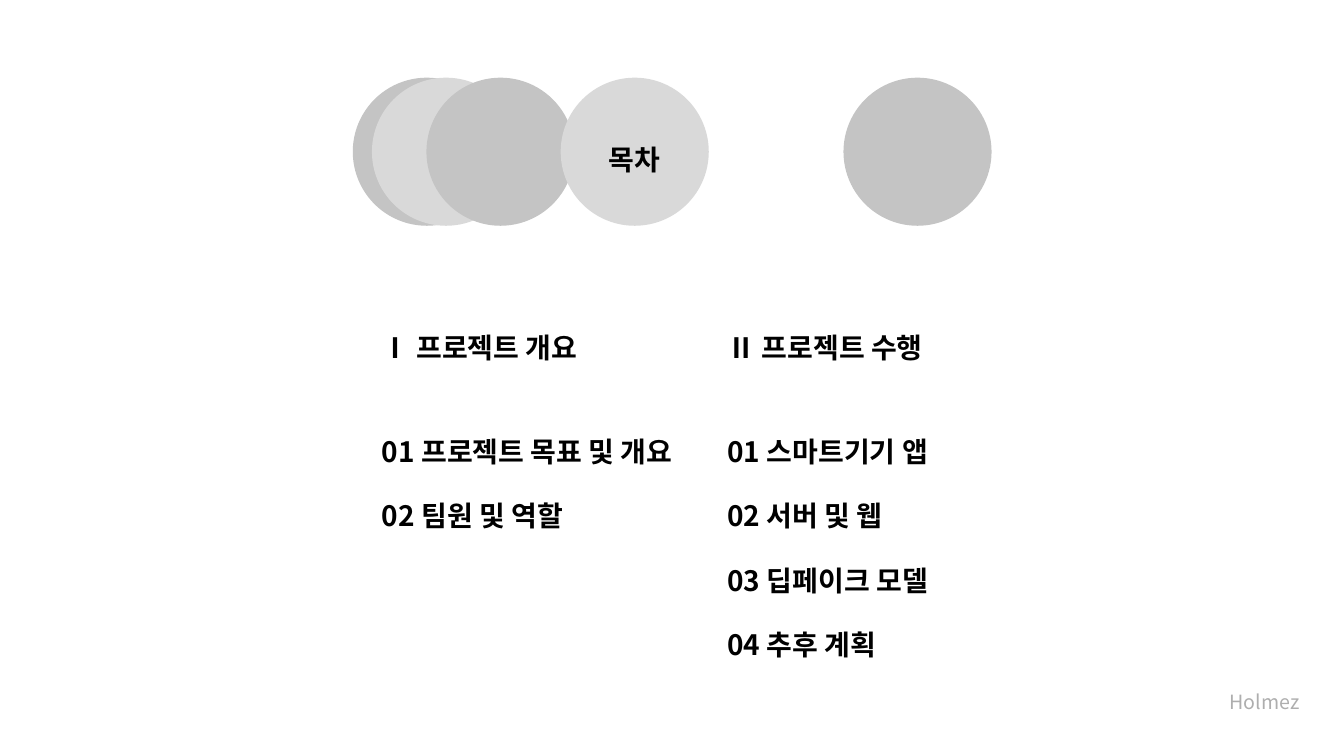
from pptx import Presentation
from pptx.dml.color import RGBColor
from pptx.enum.shapes import MSO_SHAPE as Shape
from pptx.enum.text import MSO_ANCHOR as Anchor, PP_ALIGN as Align
from pptx.util import Pt

FONT = "Noto Sans CJK KR"
TITLE = "목차"
AUTHOR = "Holmez"
CIRCLE_TOP, CIRCLE_SIZE = 55.5, 105.8
CIRCLES = [(252, "C4C4C4"), (265.7, "D9D9D9"), (602.5, "C4C4C4"),
           (304.6, "C4C4C4"), (400.5, "D9D9D9")]
SECTIONS = [
    (265.7, 253.4, "Ⅰ ", "프로젝트 개요",
     ["01 프로젝트 목표 및 개요", "02 팀원 및 역할"]),
    (512.4, 281.5, "Ⅱ ", "프로젝트 수행",
     ["01 스마트기기 앱", "02 서버 및 웹", "03 딥페이크 모델", "04 추후 계획"]),
]
SECTION_TOP, SECTION_HEIGHT = 220.3, 305.3
ITEM_GAP, FIRST_ITEM_GAP = 10, 38.4


def color(value):
    return RGBColor.from_string(value)


def add_box(slide, left, top, width, height, anchor=Anchor.TOP):
    box = slide.shapes.add_textbox(Pt(left), Pt(top), Pt(width), Pt(height))
    frame = box.text_frame
    frame.word_wrap = True
    frame.vertical_anchor = anchor
    return frame


def style(paragraph, size=20, bold=True, ink="000000", before=0):
    paragraph.line_spacing = 1.5
    paragraph.space_before = Pt(before)
    font = paragraph.font
    font.name, font.size, font.bold = FONT, Pt(size), bold
    font.color.rgb = color(ink)


def add_section(slide, left, width, numeral, heading, items):
    frame = add_box(slide, left, SECTION_TOP, width, SECTION_HEIGHT)
    paragraph = frame.paragraphs[0]
    style(paragraph)
    run = paragraph.add_run()
    run.text, run.font.name = numeral, "Arial"
    paragraph.add_run().text = heading
    for index, item in enumerate(items):
        paragraph = frame.add_paragraph()
        paragraph.text = item
        style(paragraph, before=ITEM_GAP if index else FIRST_ITEM_GAP)


def main():
    """Build the table of contents slide."""
    presentation = Presentation()
    presentation.slide_width, presentation.slide_height = Pt(960), Pt(540)
    slide = presentation.slides.add_slide(presentation.slide_layouts[6])

    for left, fill in CIRCLES:
        circle = slide.shapes.add_shape(
            Shape.OVAL, Pt(left), Pt(CIRCLE_TOP), Pt(CIRCLE_SIZE), Pt(CIRCLE_SIZE))
        circle.shadow.inherit = False
        circle.fill.solid()
        circle.fill.fore_color.rgb = color(fill)
        circle.line.fill.background()

    title = add_box(slide, 404.6, 74.2, 97.2, 67.7, Anchor.MIDDLE).paragraphs[0]
    title.text = TITLE
    title.alignment = Align.CENTER
    style(title)

    for section in SECTIONS:
        add_section(slide, *section)

    author = add_box(slide, 871.2, 470.9, 89, 42.5, Anchor.BOTTOM).paragraphs[0]
    author.text = AUTHOR
    style(author, size=14, bold=False, ink="AEAEAE")

    presentation.save("out.pptx")


if __name__ == "__main__":
    main()
